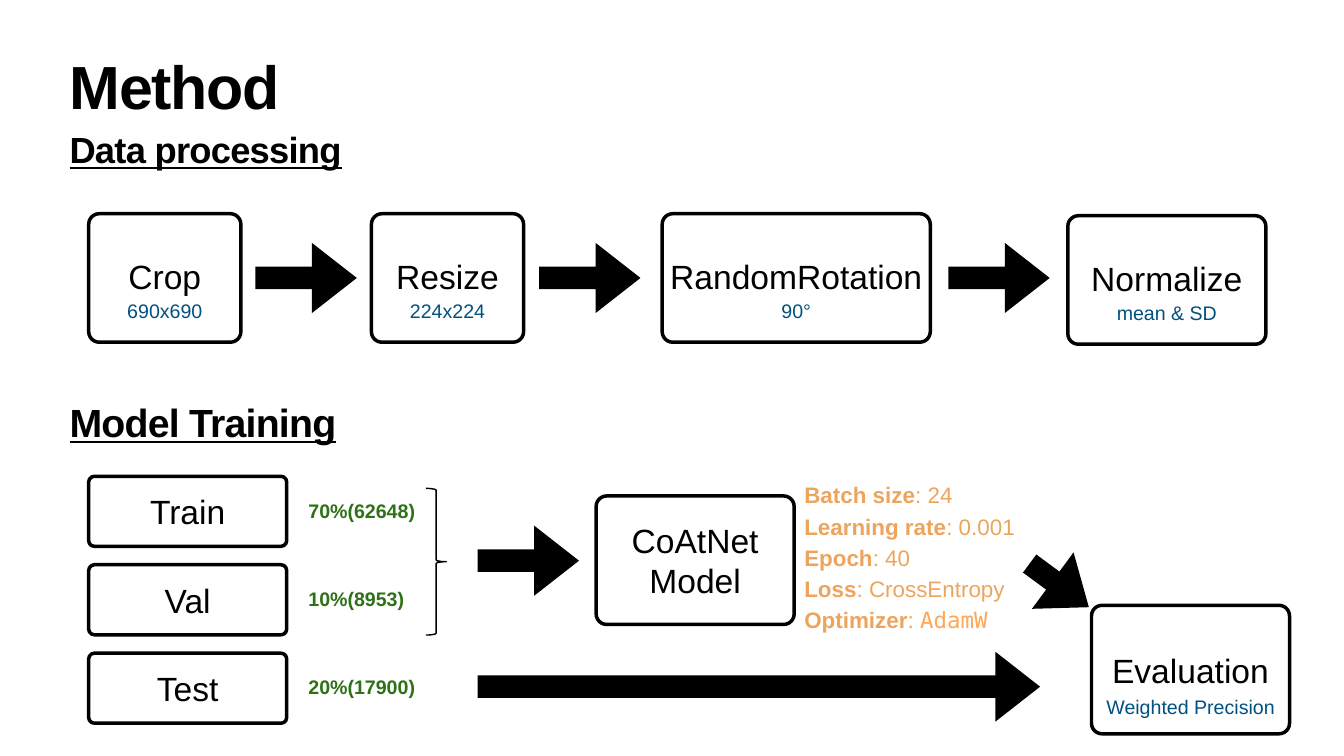
import pptx
import pptx.util
import pptx.dml.color
import pptx.enum.shapes
import pptx.enum.text

Inches = pptx.util.Inches
Shape = pptx.enum.shapes.MSO_SHAPE
Align = pptx.enum.text.PP_ALIGN
Anchor = pptx.enum.text.MSO_ANCHOR

HUES = {"ink": "000000", "note": "005180", "share": "2E7116",
        "param": "EDA55D", "code": "FFA657"}


class Deck:
    def __init__(self, wide, high):
        self.file = pptx.Presentation()
        self.file.slide_width = Inches(wide)
        self.file.slide_height = Inches(high)
        self.slide = self.file.slides.add_slide(self.file.slide_layouts[6])
        self.font = "Arial"
        self.inset = 0.06

    def hue(self, name):
        return pptx.dml.color.RGBColor.from_string(HUES[name])

    def text(self, box, runs, size, hue="ink", align=Align.CENTER,
             anchor=Anchor.MIDDLE, gap=0.9, track=0, **style):
        frame = self.slide.shapes.add_textbox(*map(Inches, box)).text_frame
        look = {"word_wrap": True, "vertical_anchor": anchor}
        for side in ("left", "right", "top", "bottom"):
            look[f"margin_{side}"] = Inches(self.inset)
        for key, value in look.items():
            setattr(frame, key, value)
        para = frame.paragraphs[0]
        para.alignment, para.line_spacing = align, gap
        for words, extra in runs:
            run = para.add_run()
            run.text = words
            form = {"name": self.font, "size": pptx.util.Pt(size),
                    **style, **extra}
            tint = form.pop("hue", hue)
            for key, value in form.items():
                setattr(run.font, key, value)
            run.font.color.rgb = self.hue(tint)
            if track:
                run.font._element.set("spc", str(track))

    def head(self, top, high, words, size, track, **style):
        self.text((1.32, top, 24.03, high), [(words, {})], size,
                  align=Align.LEFT, anchor=Anchor.TOP, gap=0.8,
                  track=track, bold=True, **style)

    def shape(self, kind, box, adjust=(), line=0, turn=0):
        item = self.slide.shapes.add_shape(kind, *map(Inches, box))
        item.shadow.inherit = False
        item.rotation = turn
        for i, value in enumerate(adjust):
            item.adjustments[i] = value
        if line:
            item.fill.background()
            item.line.color.rgb = self.hue("ink")
            item.line.width = pptx.util.Pt(line)
        else:
            item.fill.solid()
            item.fill.fore_color.rgb = self.hue("ink")
            item.line.fill.background()

    def frame(self, box):
        self.shape(Shape.ROUNDED_RECTANGLE, box, (0.082,), 5)

    def arrow(self, left, top, wide=2.01, turn=0):
        self.shape(Shape.RIGHT_ARROW, (left, top, wide, 1.39),
                   (0.32, 0.64), turn=turn)

    def card(self, left, top, wide, name, note, drop=1.69, gap=0.9):
        self.frame((left, top, wide, 2.55))
        self.text((left, top + 0.85, wide, 0.86), [(name, {})], 48, gap=gap)
        self.text((left, top + drop, wide, 0.54), [(note, {})], 28, "note")

    def plain(self, box, words):
        self.frame(box)
        self.text(box, [(words, {})], 48, gap=1)


def main():
    deck = Deck(26.67, 15)
    deck.head(1.18, 1.57, "Method", 87, -170)
    deck.head(2.64, 1.02, "Data processing", 51.9, -110, underline=True)
    deck.head(8.03, 1.02, "Model Training", 56.1, -110, underline=True)

    for left, top, wide, name, note in [
            (1.76, 4.24, 3.02, "Crop", "690x690"),
            (7.37, 4.24, 3.02, "Resize", "224x224"),
            (13.14, 4.24, 5.32, "RandomRotation", "90°"),
            (21.19, 4.28, 3.93, "Normalize", "mean & SD")]:
        deck.card(left, top, wide, name, note)
    for left in (5.07, 10.7, 18.82):
        deck.arrow(left, 4.82)

    for i, (name, share) in enumerate([("Train", "70%(62648)"),
                                       ("Val", "10%(8953)"),
                                       ("Test", "20%(17900)")]):
        deck.plain((1.76, 9.45 + 1.755 * i, 3.93, 1.39), name)
        deck.text((6.06, 9.9 + 1.74 * i, 2.36, 0.54), [(share, {})], 28,
                  "share", Align.LEFT, bold=True)
    deck.shape(Shape.RIGHT_BRACE, (8.45, 9.69, 0.41, 2.91), line=2)

    deck.arrow(9.48, 10.43)
    deck.plain((11.83, 9.84, 3.93, 2.55), "CoAtNet Model")
    code = {"name": "DejaVu Sans Mono", "hue": "code"}
    for i, (key, value, form) in enumerate([
            ("Batch size", "24", {}), ("Learning rate", "0.001", {}),
            ("Epoch", "40", {}), ("Loss", "CrossEntropy", {}),
            ("Optimizer", "AdamW", code)]):
        deck.text((15.9, 9.5 + 0.62 * i, 5.17, 0.64),
                  [(key, {"bold": True}), (": ", {}), (value, form)],
                  32, "param", Align.LEFT, gap=1)

    deck.arrow(9.48, 12.93, 11.16)
    deck.card(21.66, 12.01, 3.93, "Evaluation", "Weighted Precision", 1.77, 1)
    deck.arrow(20.29, 10.92, 1.46, 36.4)
    deck.file.save("out.pptx")


if __name__ == "__main__":
    main()
